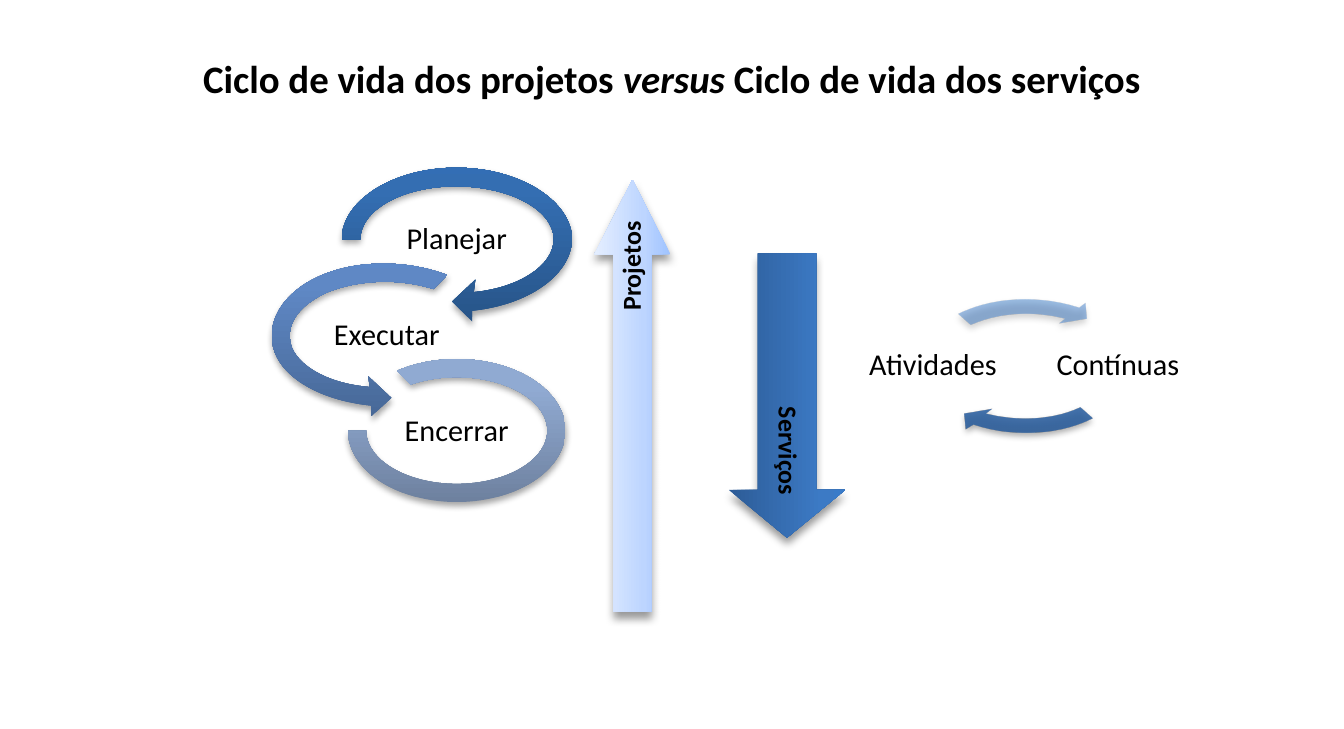
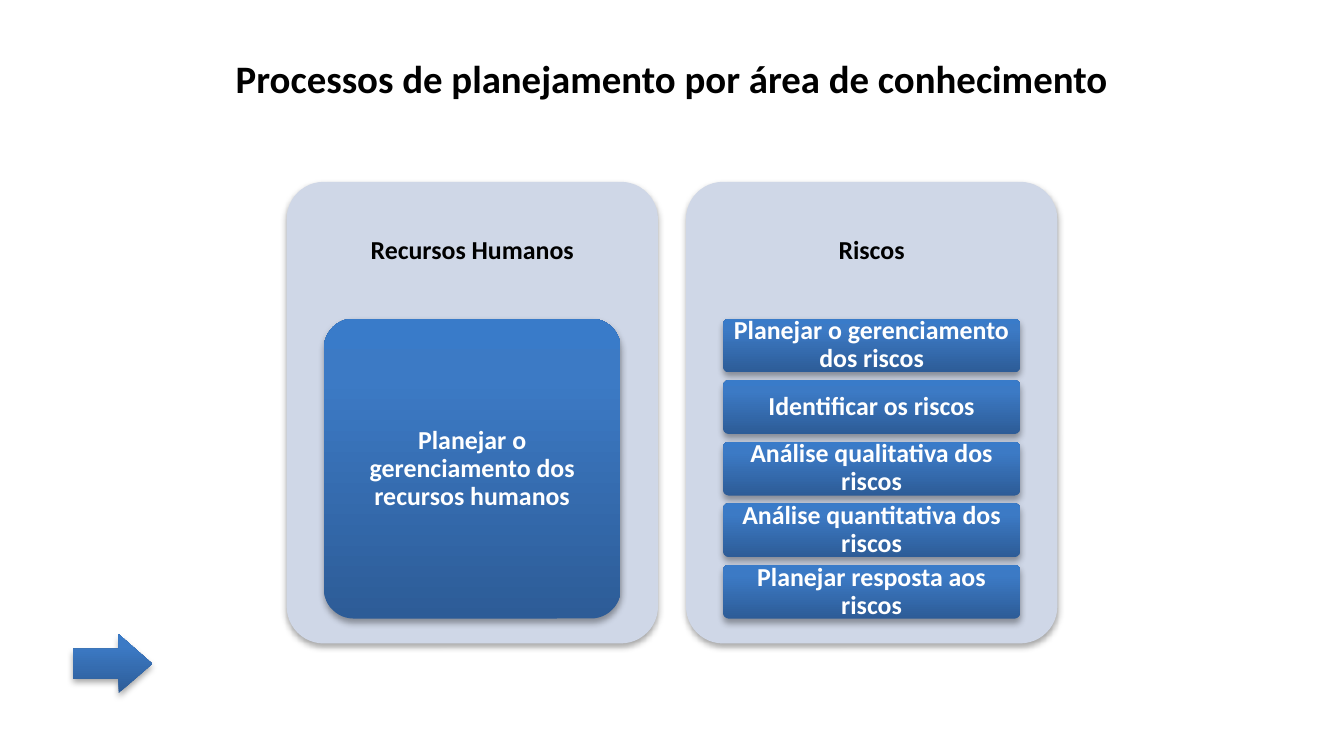
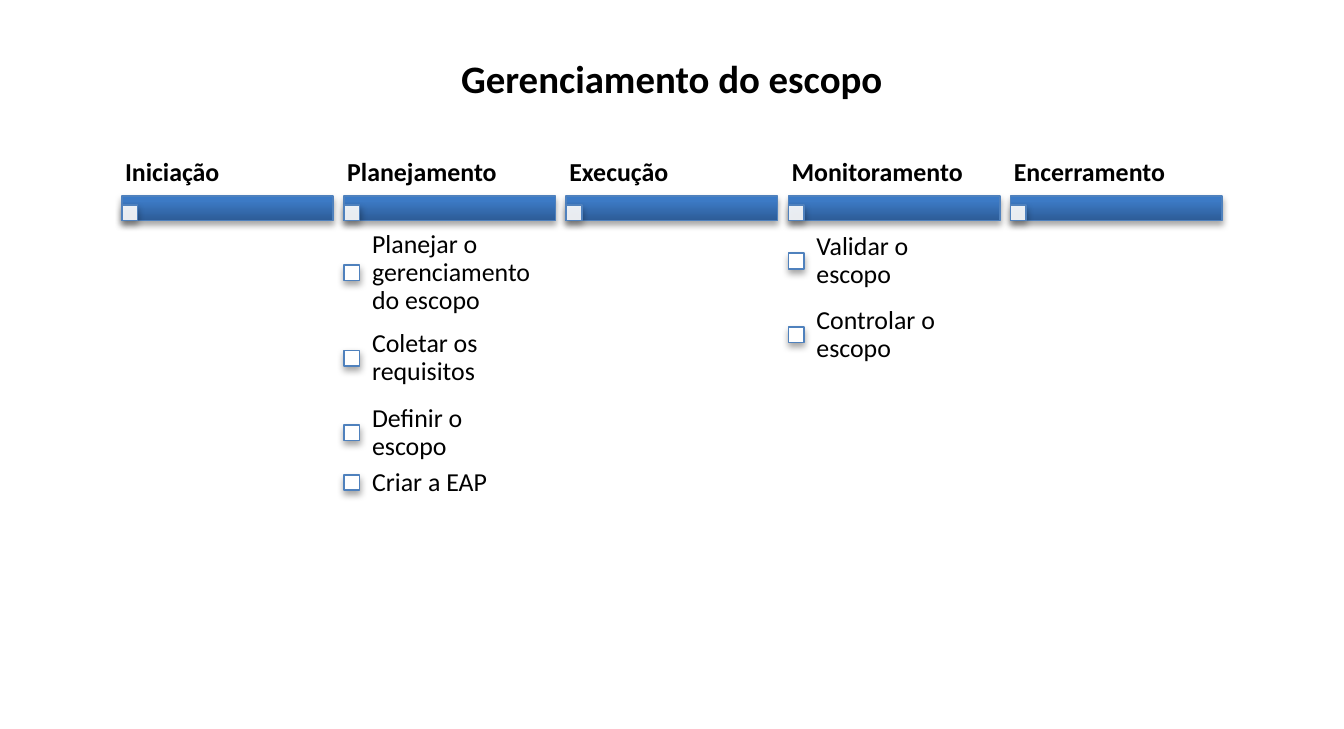
import pptx
import pptx.dml.color
import pptx.enum.shapes
import pptx.enum.text
import pptx.oxml
import pptx.oxml.ns
import pptx.util

Inches = pptx.util.Inches
Pt = pptx.util.Pt
SHAPE = pptx.enum.shapes.MSO_SHAPE
ALIGN = pptx.enum.text.PP_ALIGN
ANCHOR = pptx.enum.text.MSO_ANCHOR

WIDTH, HEIGHT = 8.65, 4.69
FONT = "Calibri"
BLACK, WHITE, CARD, OUTLINE = "000000", "FFFFFF", "CFD7E7", "4F81BD"
BLUE = [(0, "2D5C97"), (80, "3C7AC5"), (100, "397BC9")]
PALE = [(0, "9FC3FF"), (35, "BDD5FF"), (100, "E4EEFF")]
PLAN = [(0, "275488"), (80, "346EB2"), (100, "336EB5")]
EXECUTE = [(0, "476897"), (80, "5F88C5"), (100, "5D89C9")]
CLOSE = [(0, "6E819F"), (80, "90AAD2"), (100, "90ABD4")]
SOFT_SHADOW = (35, 3.1, 1.8)
DEEP_SHADOW = (40, 4, 3)

PLAN_ARROW = [
    (2.2, 1.54), (2.2, 1.3, 2.51, 1.09, 2.91, 1.08), (3.3, 1.07, 3.64, 1.26, 3.68, 1.5),
    (3.71, 1.74, 3.43, 1.96, 3.04, 2), (3.04, 2.07), (2.91, 1.94), (3.06, 1.8), (3.05, 1.88),
    (3.37, 1.85, 3.6, 1.68, 3.56, 1.5), (3.52, 1.32, 3.23, 1.19, 2.9, 1.2),
    (2.57, 1.21, 2.32, 1.36, 2.32, 1.54)]
EXECUTE_ARROW = [
    (2.88, 1.77), (2.79, 1.86), (2.57, 1.79, 2.31, 1.8, 2.11, 1.88),
    (1.91, 1.97, 1.83, 2.1, 1.88, 2.24), (1.94, 2.37, 2.13, 2.47, 2.38, 2.49),
    (2.37, 2.42), (2.52, 2.56), (2.39, 2.68), (2.39, 2.61),
    (2.09, 2.58, 1.84, 2.45, 1.77, 2.27), (1.7, 2.09, 1.81, 1.89, 2.05, 1.78),
    (2.29, 1.67, 2.62, 1.67, 2.88, 1.77)]
RETURN_ARROW = [
    (7.03, 2.69), (6.81, 2.8, 6.51, 2.81, 6.27, 2.73), (6.22, 2.76), (6.21, 2.66),
    (6.39, 2.63), (6.35, 2.66), (6.55, 2.71, 6.78, 2.7, 6.95, 2.62)]
FORWARD_ARROW = [
    (6.17, 2.02), (6.39, 1.91, 6.69, 1.9, 6.94, 1.98), (6.98, 1.95), (6.99, 2.05),
    (6.81, 2.08), (6.85, 2.05), (6.65, 2, 6.43, 2.01, 6.25, 2.09)]


def rgb(color):
    """Turn a hex string into a colour."""
    return pptx.dml.color.RGBColor.from_string(color)


def color_xml(color, opacity):
    """Return the XML of a colour with an opacity in percent."""
    return f'<a:srgbClr val="{color}"><a:alpha val="{opacity * 1000}"/></a:srgbClr>'


def make_element(tag, content="", attributes=""):
    """Build a drawing element from its tag, content and attributes."""
    ns = pptx.oxml.ns.nsdecls("a")
    return pptx.oxml.parse_xml(f"<a:{tag} {ns} {attributes}>{content}</a:{tag}>")


def paint(sp, fill, line=None, shadow=SOFT_SHADOW, opacity=100):
    """Give a shape its solid or upward gradient fill, outline and drop shadow."""
    if isinstance(fill, str):
        paint_element = make_element("solidFill", color_xml(fill, opacity))
    else:
        stops = "".join(f'<a:gs pos="{pos * 1000}">{color_xml(color, opacity)}</a:gs>'
                        for pos, color in fill)
        content = f'<a:gsLst>{stops}</a:gsLst><a:lin ang="16200000" scaled="0"/>'
        paint_element = make_element("gradFill", content, 'rotWithShape="1"')
    sp.fill.solid()
    props = sp._element.spPr
    props.replace(props.find(pptx.oxml.ns.qn("a:solidFill")), paint_element)
    if line:
        sp.line.color.rgb = rgb(line)
        sp.line.width = Pt(0.75)
    else:
        sp.line.fill.background()
    alpha, blur, distance = shadow
    shadow_xml = (f'<a:outerShdw blurRad="{Pt(blur)}" dist="{Pt(distance)}" dir="5400000" '
                  f'rotWithShape="0">{color_xml(BLACK, alpha)}</a:outerShdw>')
    props.append(make_element("effectLst", shadow_xml))


def write(sp, text, size=12, color=BLACK, bold=False, align=ALIGN.CENTER,
          insets=(0.02, 0.02, 0.02, 0.02)):
    """Write one paragraph, centred vertically, into a shape."""
    tf = sp.text_frame
    tf.word_wrap = True
    tf.vertical_anchor = ANCHOR.MIDDLE
    tf.margin_left, tf.margin_top, tf.margin_right, tf.margin_bottom = map(Inches, insets)
    p = tf.paragraphs[0]
    p.alignment = align
    p.line_spacing = 0.9
    p.font.name, p.font.size, p.font.bold = FONT, Pt(size), bold
    p.font.color.rgb = rgb(color)
    p.add_run().text = text


def add_box(slide, kind, at, fill, adjustments=(), **style):
    """Add a painted preset shape."""
    sp = slide.shapes.add_shape(kind, *map(Inches, at))
    for i, value in enumerate(adjustments):
        sp.adjustments[i] = value
    paint(sp, fill, **style)
    return sp


def add_label(slide, text, at, **style):
    """Add a text box."""
    write(slide.shapes.add_textbox(*map(Inches, at)), text, **style)


def add_curved_arrow(slide, frame, segments, fill, opacity=100):
    """Add a closed outline of lines and cubic curves inside a frame."""
    left, top, width, height = frame
    right, bottom = left + width, top + height
    builder = slide.shapes.build_freeform(Inches(left), Inches(top))
    builder.add_line_segments([(Inches(x), Inches(y)) for x, y in
                               ((right, top), (right, bottom), (left, bottom))])
    sp = builder.convert_to_shape()
    outline = sp._element.spPr.find(".//" + pptx.oxml.ns.qn("a:path"))
    for child in list(outline):
        outline.remove(child)
    for i, segment in enumerate(segments):
        points = "".join(f'<a:pt x="{Inches(x - left)}" y="{Inches(y - top)}"/>'
                         for x, y in zip(segment[::2], segment[1::2]))
        tag = "moveTo" if i == 0 else "lnTo" if len(segment) == 2 else "cubicBezTo"
        outline.append(make_element(tag, points))
    outline.append(make_element("close"))
    paint(sp, fill, opacity=opacity)


def add_vertical_arrow(slide, text, at, head, rotation, fill, inset):
    """Add a turned block arrow with its text near the tip."""
    sp = add_box(slide, SHAPE.RIGHT_ARROW, at, fill, (0.5, head), shadow=DEEP_SHADOW)
    sp.rotation = rotation
    write(sp, text, bold=True, align=ALIGN.RIGHT, insets=(0.05, 0, inset, 0))


def add_titled_slide(prs, *parts):
    """Add a slide whose title has every second part in italics."""
    slide = prs.slides.add_slide(prs.slide_layouts[5])
    title = slide.shapes.title
    title.left, title.top, title.width, title.height = map(Inches, (0, 0.3, WIDTH, 0.4))
    tf = title.text_frame
    tf.auto_size = pptx.enum.text.MSO_AUTO_SIZE.NONE
    tf.vertical_anchor = ANCHOR.TOP
    p = tf.paragraphs[0]
    p.alignment = ALIGN.CENTER
    p.font.name, p.font.size, p.font.bold = FONT, Pt(18), True
    p.font.color.rgb = rgb(BLACK)
    for i, part in enumerate(parts):
        r = p.add_run()
        r.text = part
        if i % 2:
            r.font.italic = True
    return slide


def build_life_cycles(prs):
    """Compare the life cycles of projects and services."""
    slide = add_titled_slide(prs, "Ciclo de vida dos projetos ", "versus",
                             " Ciclo de vida dos serviços")
    add_vertical_arrow(slide, "Projetos", (2.68, 2.3, 2.78, 0.49), 0.98, 270, PALE, 0.03)
    add_vertical_arrow(slide, "Serviços", (4.15, 2.17, 1.83, 0.75), 0.41, 90, BLUE, 0.12)
    add_curved_arrow(slide, (2.13, 1.01, 1.63, 1.07), PLAN_ARROW, PLAN)
    add_curved_arrow(slide, (1.67, 1.62, 1.63, 1.07), EXECUTE_ARROW, EXECUTE)
    add_box(slide, SHAPE.BLOCK_ARC, (2.24, 2.31, 1.4, 0.92), CLOSE, (135, 108, 0.127))
    for segments, opacity in ((RETURN_ARROW, 90), (FORWARD_ARROW, 50)):
        add_curved_arrow(slide, (5.86, 1.87, 1.49, 0.98), segments, BLUE, opacity)
    for text, at in (("Planejar", (2.49, 1.39, 0.9, 0.3)),
                     ("Executar", (2.04, 2.01, 0.9, 0.3)),
                     ("Encerrar", (2.49, 2.63, 0.9, 0.3)),
                     ("Atividades", (5.42, 2.12, 1.17, 0.47)),
                     ("Contínuas", (6.74, 2.12, 0.91, 0.47))):
        add_label(slide, text, at, size=14)


def add_area_card(slide, left, width, heading, tasks):
    """Add a knowledge area with its tasks sharing the height equally."""
    add_box(slide, SHAPE.ROUNDED_RECTANGLE, (left, 1.17, width, 2.97), CARD, (0.1,))
    add_label(slide, heading, (left, 1.17, width, 0.89), bold=True,
              insets=(0.05, 0.05, 0.05, 0.05))
    gap, total, task_width = 0.05, 1.93, 1.91
    task_left = left + (width - task_width) / 2
    height = (total - gap * (len(tasks) - 1)) / len(tasks)
    pad = 0.03 * min(height, task_width)
    for i, task in enumerate(tasks):
        top = 2.05 + i * (height + gap)
        add_box(slide, SHAPE.ROUNDED_RECTANGLE, (task_left, top, task_width, height),
                BLUE, (0.1,))
        at = (task_left + pad, top + pad, task_width - 2 * pad, height - 2 * pad)
        add_label(slide, task, at, color=WHITE, bold=True, insets=(0.03, 0.02, 0.03, 0.02))


def build_planning(prs):
    """Show the planning processes of two knowledge areas."""
    slide = add_titled_slide(prs, "Processos de planejamento por área de conhecimento")
    areas = [
        ("Recursos Humanos", ["Planejar o gerenciamento dos recursos humanos"]),
        ("Riscos", ["Planejar o gerenciamento dos riscos", "Identificar os riscos",
                    "Análise qualitativa dos riscos", "Análise quantitativa dos riscos",
                    "Planejar resposta aos riscos"])]
    width, gap = 2.39, 0.18
    left = (WIDTH - 2 * width - gap) / 2
    for i, (heading, tasks) in enumerate(areas):
        add_area_card(slide, left + i * (width + gap), width, heading, tasks)
    add_box(slide, SHAPE.RIGHT_ARROW, (0.47, 4.08, 0.51, 0.38), BLUE, (0.5, 0.57))


def add_mark(slide, left, top, opacity=100):
    """Add a small square marker."""
    add_box(slide, SHAPE.RECTANGLE, (left, top, 0.1, 0.1), WHITE, line=OUTLINE, opacity=opacity)


def add_phase(slide, left, width, heading, items):
    """Add a phase bar with its heading and marked items."""
    add_box(slide, SHAPE.RECTANGLE, (left, 1.26, width, 0.16), BLUE, line=OUTLINE)
    add_mark(slide, left, 1.32, opacity=90)
    add_label(slide, heading, (left, 0.97, width, 0.29), bold=True, align=ALIGN.LEFT)
    top = 1.48
    for text, height in items:
        add_mark(slide, left, top + height / 2 - 0.05)
        add_label(slide, text, (left + 0.09, top, width - 0.09, height), align=ALIGN.LEFT,
                  insets=(0.09, 0.09, 0.12, 0.09))
        top += height


def build_scope(prs):
    """Show the scope processes in each project phase."""
    slide = add_titled_slide(prs, "Gerenciamento do escopo")
    phases = [
        ("Iniciação", []),
        ("Planejamento", [("Planejar o gerenciamento do escopo", 0.55),
                          ("Coletar os requisitos", 0.55),
                          ("Definir o escopo", 0.41), ("Criar a EAP", 0.23)]),
        ("Execução", []),
        ("Monitoramento", [("Validar o escopo", 0.4), ("Controlar o escopo", 0.55)]),
        ("Encerramento", [])]
    width, gap = 1.36, 0.07
    left = (WIDTH - len(phases) * (width + gap) + gap) / 2
    for i, (heading, items) in enumerate(phases):
        add_phase(slide, left + i * (width + gap), width, heading, items)


def main():
    """Build and save the presentation."""
    prs = pptx.Presentation()
    prs.slide_width, prs.slide_height = Inches(WIDTH), Inches(HEIGHT)
    build_life_cycles(prs)
    build_planning(prs)
    build_scope(prs)
    prs.save("out.pptx")


if __name__ == "__main__":
    main()
